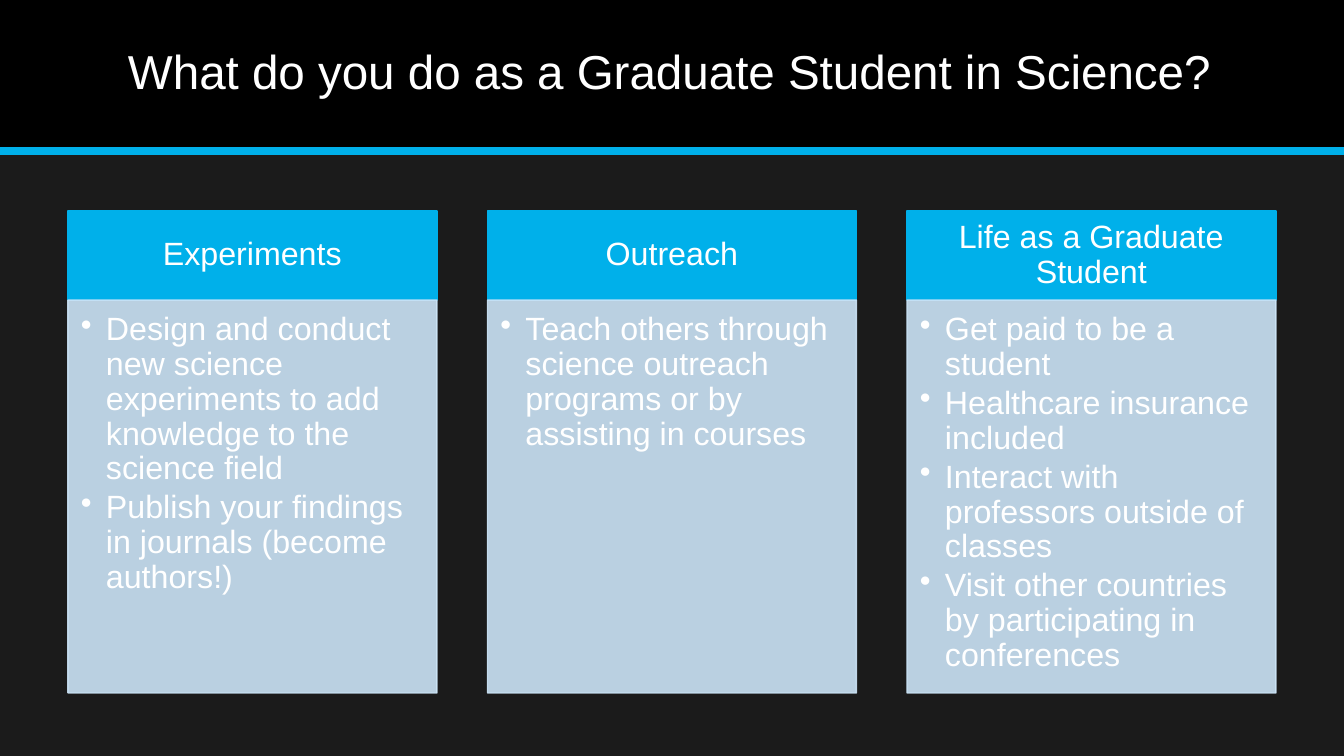
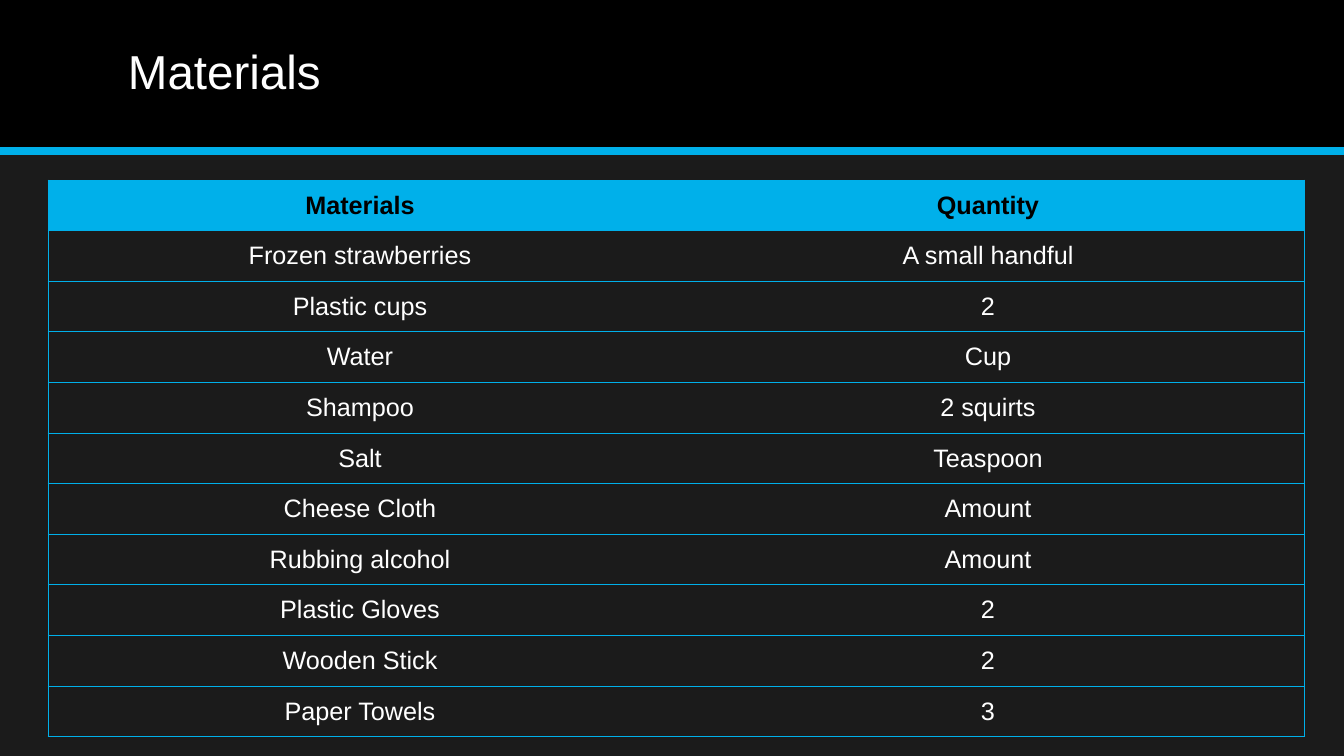
"""Build two dark slides: graduate student life and a materials table."""
from lxml.etree import SubElement
from pptx import Presentation
from pptx.dml.color import RGBColor
from pptx.enum.shapes import MSO_CONNECTOR, MSO_SHAPE
from pptx.enum.text import MSO_ANCHOR, PP_ALIGN
from pptx.oxml import parse_xml
from pptx.oxml.ns import nsdecls, qn
from pptx.util import Pt

WIDTH, HEIGHT = 1344, 756
SCALE = 12192000 / WIDTH
FONT = "Arial"
BLACK = RGBColor(0x00, 0x00, 0x00)
WHITE = RGBColor(0xFF, 0xFF, 0xFF)
CHARCOAL = RGBColor(0x1B, 0x1B, 0x1B)
CYAN = RGBColor(0x00, 0xB0, 0xEA)
PALE_BLUE = RGBColor(0xCC, 0xE4, 0xF7)

BAND_HEIGHT = 151
COLUMNS_LEFT, COLUMNS_RIGHT, COLUMN_WIDTH = 68, 1276, 369
HEADING_TOP, HEADING_HEIGHT, BODY_HEIGHT = 211, 89, 393
TABLE_LEFT, TABLE_TOP, TABLE_HEIGHT = 48, 180, 557
TABLE_COLUMNS = (624, 632)

ACTIVITIES_TITLE = "What do you do as a Graduate Student in Science?"
ACTIVITIES = [
    ("Experiments", [
        "Design and conduct new science experiments to add knowledge to the science field",
        "Publish your findings in journals (become authors!)",
    ]),
    ("Outreach", [
        "Teach others through science outreach programs or by assisting in courses",
    ]),
    ("Life as a Graduate Student", [
        "Get paid to be a student",
        "Healthcare insurance included",
        "Interact with professors outside of classes",
        "Visit other countries by participating in conferences",
    ]),
]

MATERIALS_TITLE = "Materials"
MATERIALS = [
    ("Materials", "Quantity"),
    ("Frozen strawberries", "A small handful"),
    ("Plastic cups", "2"),
    ("Water", "Cup"),
    ("Shampoo", "2 squirts"),
    ("Salt", "Teaspoon"),
    ("Cheese Cloth", "Amount"),
    ("Rubbing alcohol", "Amount"),
    ("Plastic Gloves", "2"),
    ("Wooden Stick", "2"),
    ("Paper Towels", "3"),
]


def px(*lengths):
    return [round(length * SCALE) for length in lengths]


def style_font(font, size, color=WHITE, bold=False):
    font.name, font.size, font.bold = FONT, Pt(size), bold
    font.color.rgb = color


def write(frame, texts, size, align, anchor, insets, bulleted=False):
    frame.word_wrap = True
    frame.vertical_anchor = anchor
    (frame.margin_left, frame.margin_top,
     frame.margin_right, frame.margin_bottom) = px(*insets)
    frame.text = "\n".join(texts)
    for para in frame.paragraphs:
        para.alignment = align
        para.line_spacing = 0.9
        if bulleted:
            para.space_after = Pt(3)
            properties = para._p.get_or_add_pPr()
            indent, = px(25)
            properties.set("marL", str(indent))
            properties.set("indent", str(-indent))
            SubElement(properties, qn("a:buChar"), char="•")
        for span in para.runs:
            style_font(span.font, size)


def add_rectangle(page, bounds, color, alpha=None):
    box = page.shapes.add_shape(MSO_SHAPE.RECTANGLE, *px(*bounds))
    box.shadow.inherit = False
    box.fill.solid()
    box.fill.fore_color.rgb = color
    box.line.color.rgb = color
    box.line.width = Pt(1)
    if alpha:
        for tint in box._element.spPr.iter(qn("a:srgbClr")):
            SubElement(tint, qn("a:alpha"), val=str(alpha * 1000))
    return box


def add_page(deck, title):
    page = deck.slides.add_slide(deck.slide_layouts[6])
    page.background.fill.solid()
    page.background.fill.fore_color.rgb = CHARCOAL
    band = add_rectangle(page, (0, 0, WIDTH, BAND_HEIGHT), BLACK)
    band.line.fill.background()
    rule = page.shapes.add_connector(
        MSO_CONNECTOR.STRAIGHT, *px(0, BAND_HEIGHT, WIDTH, BAND_HEIGHT))
    rule.line.color.rgb = CYAN
    rule.line.width = Pt(6)
    SubElement(rule._element.spPr, qn("a:effectLst"))
    box = page.shapes.add_textbox(*px(118, 14, 1109, 121))
    write(box.text_frame, [title], 34, PP_ALIGN.LEFT, MSO_ANCHOR.MIDDLE, (10, 5, 10, 5))
    return page


def add_activities(page):
    pitch = (COLUMNS_RIGHT - COLUMNS_LEFT - COLUMN_WIDTH) / (len(ACTIVITIES) - 1)
    for index, (heading, points) in enumerate(ACTIVITIES):
        left = COLUMNS_LEFT + index * pitch
        head = add_rectangle(page, (left, HEADING_TOP, COLUMN_WIDTH, HEADING_HEIGHT), CYAN)
        write(head.text_frame, [heading], 23, PP_ALIGN.CENTER, MSO_ANCHOR.MIDDLE,
              (18, 10, 18, 10))
        body = add_rectangle(
            page, (left, HEADING_TOP + HEADING_HEIGHT, COLUMN_WIDTH, BODY_HEIGHT),
            PALE_BLUE, 90)
        write(body.text_frame, points, 23, PP_ALIGN.LEFT, MSO_ANCHOR.TOP,
              (13, 13, 18, 20), bulleted=True)


def set_borders(cell, hidden_side):
    properties = cell._tc.get_or_add_tcPr()
    for position, side in enumerate(("lnL", "lnR", "lnT", "lnB")):
        paint = ("<a:noFill/>" if side == hidden_side else
                 f'<a:solidFill><a:srgbClr val="{CYAN}"/></a:solidFill>')
        properties.insert(position, parse_xml(
            f'<a:{side} {nsdecls("a")} w="{Pt(0.5)}">{paint}</a:{side}>'))


def add_materials(page):
    frame = page.shapes.add_table(
        len(MATERIALS), len(TABLE_COLUMNS),
        *px(TABLE_LEFT, TABLE_TOP, sum(TABLE_COLUMNS), TABLE_HEIGHT))
    table = frame.table
    table.horz_banding = False
    for column, width in zip(table.columns, px(*TABLE_COLUMNS)):
        column.width = width
    for row_index, values in enumerate(MATERIALS):
        is_header = row_index == 0
        for column_index, value in enumerate(values):
            cell = table.cell(row_index, column_index)
            cell.text = value
            cell.vertical_anchor = MSO_ANCHOR.MIDDLE
            cell.fill.solid()
            cell.fill.fore_color.rgb = CYAN if is_header else CHARCOAL
            set_borders(cell, "lnL" if column_index else "lnR")
            para = cell.text_frame.paragraphs[0]
            para.alignment = PP_ALIGN.CENTER
            style_font(para.runs[0].font, 18, BLACK if is_header else WHITE, is_header)


def main():
    deck = Presentation()
    deck.slide_width, deck.slide_height = px(WIDTH, HEIGHT)
    add_activities(add_page(deck, ACTIVITIES_TITLE))
    add_materials(add_page(deck, MATERIALS_TITLE))
    deck.save("out.pptx")


if __name__ == "__main__":
    main()
